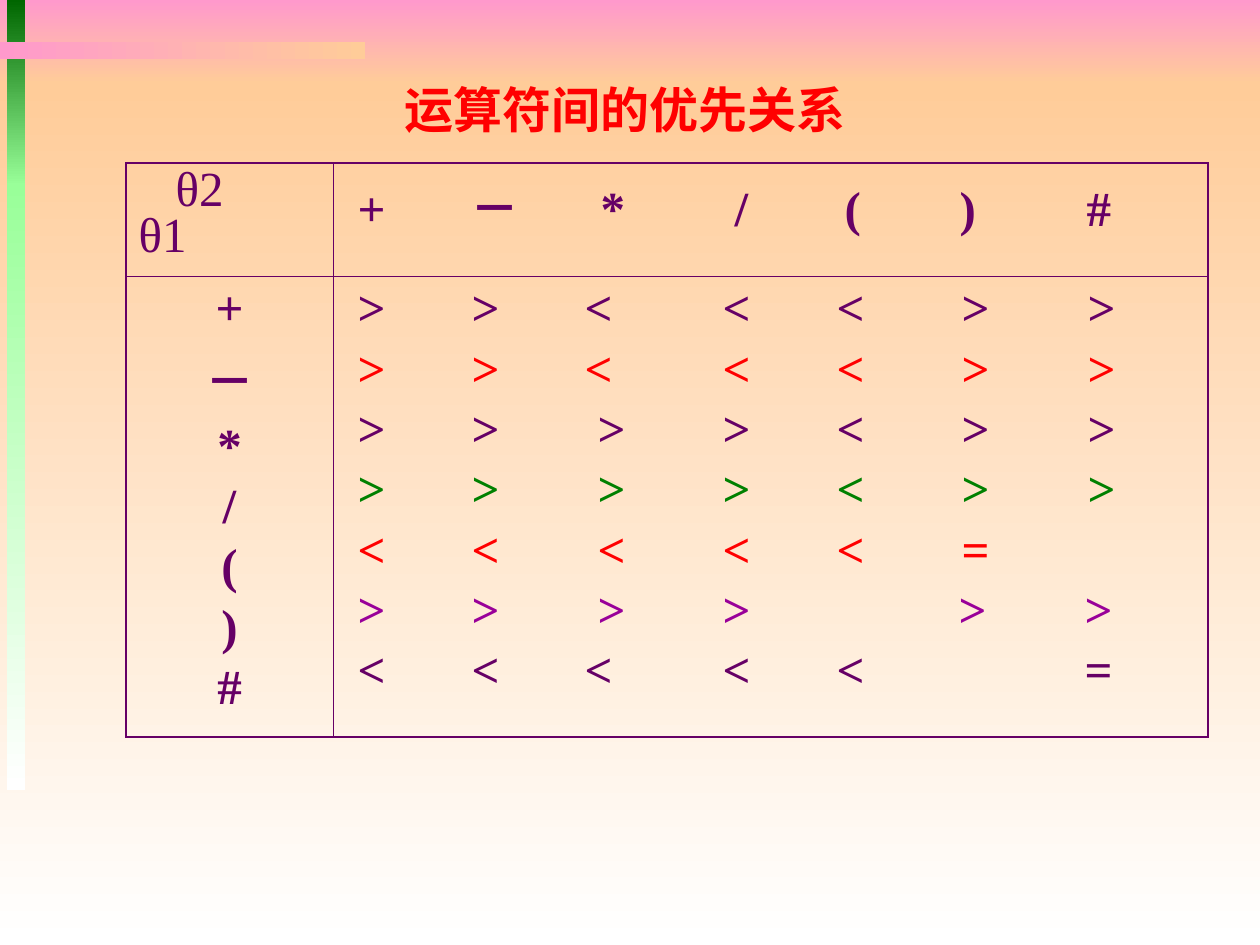
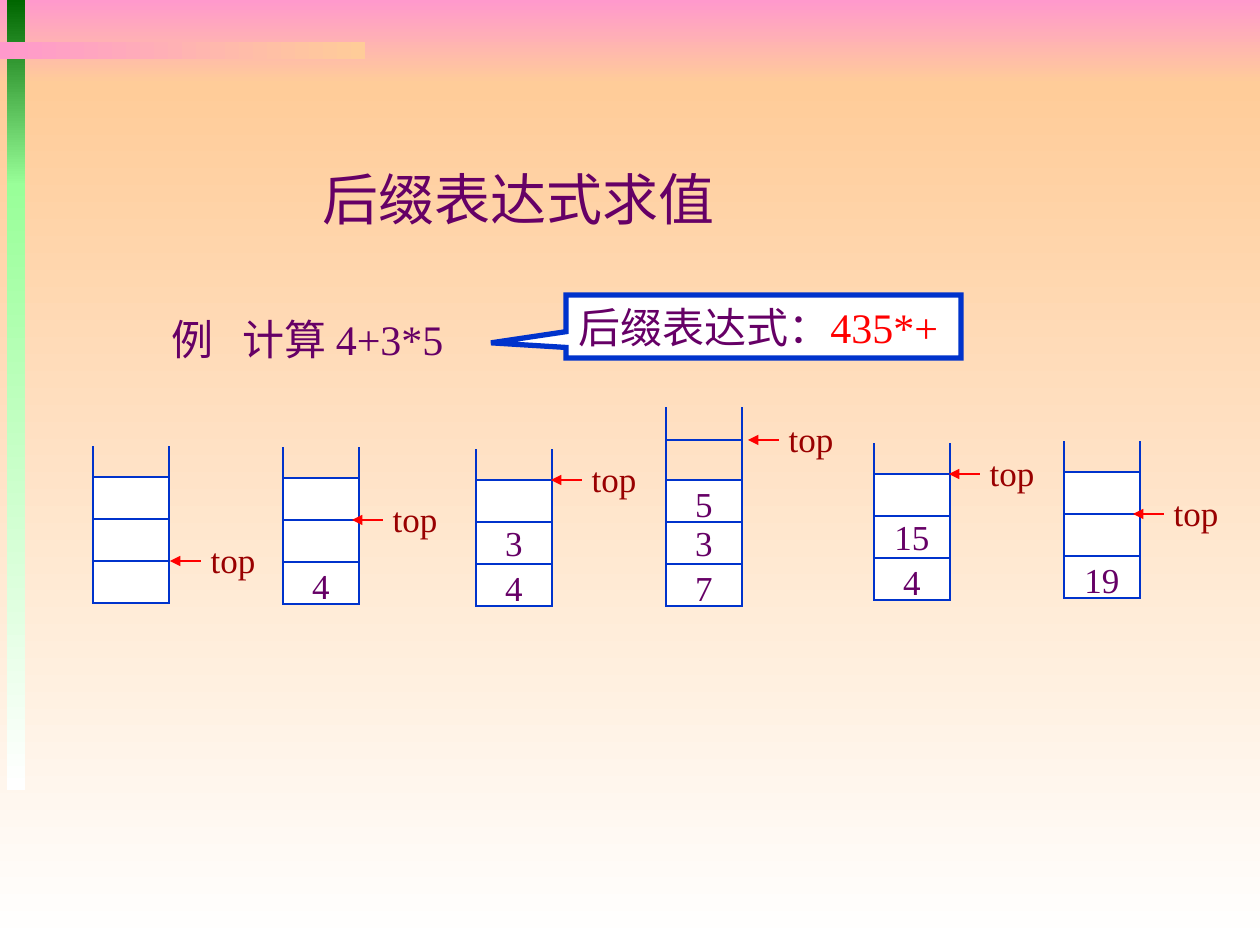
"""Build two slides: an operator precedence table and a postfix evaluation with stacks."""
import dataclasses

import lxml.etree
import pptx
import pptx.dml.color
import pptx.dml.fill
import pptx.enum.shapes
import pptx.enum.text
import pptx.oxml.ns
import pptx.shapes.autoshape
import pptx.slide
import pptx.table
import pptx.text.text
import pptx.util

EMU_PER_PX = 914400 / 126
PURPLE, RED, GREEN, VIOLET = "660066", "FF0000", "008000", "990099"
DARK_RED, BLUE, WHITE = "990000", "0033CC", "FFFFFF"
PINK, PEACH, DARK_GREEN, LIGHT_GREEN = "FF99CC", "FFCC99", "006600", "99FF99"

ALIGN = pptx.enum.text.PP_ALIGN
ANCHOR = pptx.enum.text.MSO_ANCHOR
SHAPE = pptx.enum.shapes.MSO_SHAPE

Box = tuple[int, int, int, int]
Point = tuple[int, int]


@dataclasses.dataclass(frozen=True)
class Style:
    size: int
    color: str = PURPLE
    bold: bool = False
    font: str = "Times New Roman"
    align: pptx.enum.text.PP_ALIGN = ALIGN.LEFT
    before: float = 0
    spacing: float = 1
    indent: int = 0
    tabs: tuple[int, ...] = ()


@dataclasses.dataclass(frozen=True)
class Band:
    box: Box
    start: str
    end: str
    angle: int = 270


@dataclasses.dataclass(frozen=True)
class Relation:
    marks: str
    color: str
    stops: tuple[int, ...]


@dataclasses.dataclass(frozen=True)
class Stack:
    left: int
    bottom: int
    values: tuple[str, ...]
    top_level: int
    arrow_tip: int
    wall: int = 157
    open_level: int = 0


BANDS = (
    Band((0, 0, 1260, 84), PINK, PEACH),
    Band((0, 84, 1260, 861), PEACH, WHITE),
    Band((7, 0, 18, 186), DARK_GREEN, LIGHT_GREEN),
    Band((7, 184, 18, 606), LIGHT_GREEN, WHITE),
    Band((0, 42, 365, 17), PINK, PEACH, 0),
)

HEADER_STOPS = (12, 125, 255, 389, 499, 614, 741)
EVEN_STOPS = (12, 126, 252, 377, 491, 616, 742)
SHIFTED_STOPS = (12, 126, 239, 377, 491, 616, 742)
OPERATORS = "+－*/()#"
RELATIONS = (
    Relation(">><<<>>", PURPLE, SHIFTED_STOPS),
    Relation(">><<<>>", RED, SHIFTED_STOPS),
    Relation(">>>><>>", PURPLE, EVEN_STOPS),
    Relation(">>>><>>", GREEN, EVEN_STOPS),
    Relation("<<<<<=", RED, EVEN_STOPS),
    Relation(">>>> >>", VIOLET, (12, 126, 252, 377, 491, 613, 739)),
    Relation("<<<<< =", PURPLE, (12, 126, 239, 377, 491, 613, 739)),
)

CELL_WIDTH, CELL_HEIGHT, CELL_COUNT = 76, 42, 3
LEVEL_RISES = (0, 42, 84, 126, 166)
VALUE_RISES = (18, 63, 102)
ARROW_LENGTH = 31
STACKS = (
    Stack(93, 603, (), 1, 170),
    Stack(283, 604, ("4",), 2, 352),
    Stack(476, 606, ("4", "3"), 3, 551),
    Stack(666, 606, ("7", "3", "5"), 4, 748, wall=199, open_level=4),
    Stack(874, 600, ("4", "15"), 3, 949),
    Stack(1064, 598, ("19",), 2, 1133),
)


def px(length: float) -> pptx.util.Emu:
    """Turn pixels into EMU."""
    return pptx.util.Emu(round(length * EMU_PER_PX))


def rgb(color: str) -> pptx.dml.color.RGBColor:
    """Turn a hex string into a colour."""
    return pptx.dml.color.RGBColor.from_string(color)


def add_element(parent: lxml.etree.ElementBase, tag: str, **attributes: str) -> lxml.etree.ElementBase:
    """Append a drawing element with attributes."""
    return lxml.etree.SubElement(parent, pptx.oxml.ns.qn(tag), attributes)


def write(paragraph: pptx.text.text._Paragraph, text: str, style: Style,
          accent: str = "", accent_color: str = RED) -> None:
    """Write one styled paragraph, with an optional accent run at its end."""
    paragraph.alignment = style.align
    paragraph.line_spacing = style.spacing
    paragraph.space_before = pptx.util.Pt(style.before)
    properties = paragraph._p.get_or_add_pPr()
    if style.indent:
        properties.set("marL", str(px(style.indent)))
    if style.tabs:
        tab_list = add_element(properties, "a:tabLst")
        for stop in style.tabs:
            add_element(tab_list, "a:tab", pos=str(px(stop)), algn="l")
    paragraph.font.size = pptx.util.Pt(style.size)
    paragraph.font.name = style.font
    paragraph.font.bold = style.bold
    main_run = paragraph.add_run()
    main_run.text = text
    if accent:
        accent_run = paragraph.add_run()
        accent_run.text = accent
        main_run.font.color.rgb = rgb(style.color)
        accent_run.font.color.rgb = rgb(accent_color)
    else:
        paragraph.font.color.rgb = rgb(style.color)


def add_text(slide: pptx.slide.Slide, box: Box, text: str, style: Style,
             anchor: pptx.enum.text.MSO_ANCHOR = ANCHOR.MIDDLE, wrap: bool = False) -> None:
    """Add a text box holding one paragraph."""
    frame = slide.shapes.add_textbox(*map(px, box)).text_frame
    frame.word_wrap = wrap
    frame.auto_size = pptx.enum.text.MSO_AUTO_SIZE.SHAPE_TO_FIT_TEXT
    frame.vertical_anchor = anchor
    write(frame.paragraphs[0], text, style)


def add_outlined(slide: pptx.slide.Slide, kind: pptx.enum.shapes.MSO_SHAPE, box: Box,
                 width: float) -> pptx.shapes.autoshape.Shape:
    """Add a white shape with a sharp-cornered blue outline."""
    shape = slide.shapes.add_shape(kind, *map(px, box))
    shape.shadow.inherit = False
    shape.fill.solid()
    shape.fill.fore_color.rgb = rgb(WHITE)
    shape.line.color.rgb = rgb(BLUE)
    shape.line.width = pptx.util.Pt(width)
    add_element(shape.line._get_or_add_ln(), "a:miter", lim="800000")
    return shape


def add_line(slide: pptx.slide.Slide, start: Point, end: Point, color: str = BLUE,
             width: float = 1.5, arrow: bool = False) -> None:
    """Add a straight line, with an arrowhead at its end if asked."""
    straight = pptx.enum.shapes.MSO_CONNECTOR.STRAIGHT
    connector = slide.shapes.add_connector(straight, *map(px, start + end))
    connector.line.color.rgb = rgb(color)
    connector.line.width = pptx.util.Pt(width)
    if arrow:
        add_element(connector.line._get_or_add_ln(), "a:tailEnd", type="triangle")
    add_element(connector._element.spPr, "a:effectLst")


def add_slide(presentation: pptx.presentation.Presentation) -> pptx.slide.Slide:
    """Add a blank slide with the shared gradient bands."""
    slide = presentation.slides.add_slide(presentation.slide_layouts[6])
    for band in BANDS:
        shape = slide.shapes.add_shape(SHAPE.RECTANGLE, *map(px, band.box))
        shape.shadow.inherit = False
        shape.line.fill.background()
        shape.fill.gradient()
        shape.fill.gradient_angle = band.angle
        for stop, color in zip(shape.fill.gradient_stops, (band.start, band.end)):
            stop.color.rgb = rgb(color)
    return slide


def format_cell(cell: pptx.table._Cell, row: int, column: int) -> None:
    """Clear the fill and draw thick outer and thin inner borders."""
    cell.fill.background()
    properties = cell._tc.get_or_add_tcPr()
    outer_edges = {"a:lnL": column == 0, "a:lnR": column == 1, "a:lnT": row == 0, "a:lnB": row == 1}
    for index, (tag, outer) in enumerate(outer_edges.items()):
        width = pptx.util.Pt(1.08 if outer else 0.45)
        border = add_element(properties, tag, w=str(width))
        add_element(add_element(border, "a:solidFill"), "a:srgbClr", val=PURPLE)
        properties.insert(index, border)


def fill_cell(cell: pptx.table._Cell, lines: list[tuple[str, Style]]) -> None:
    """Write one paragraph for each line of a cell."""
    frame = cell.text_frame
    for index, (text, style) in enumerate(lines):
        write(frame.add_paragraph() if index else frame.paragraphs[0], text, style)


def tabbed(marks: str) -> str:
    """Put each mark on its own tab stop, leaving blanks empty."""
    return "".join("\t" + mark.strip() for mark in marks)


def build_precedence_slide(presentation: pptx.presentation.Presentation) -> None:
    """Build the slide with the operator precedence table."""
    slide = add_slide(presentation)
    table = slide.shapes.add_table(2, 2, *map(px, (126, 163, 1082, 574))).table
    table.first_row = table.horz_banding = False
    for column, width in zip(table.columns, (207, 875)):
        column.width = px(width)
    for row, height in zip(table.rows, (113, 461)):
        row.height = px(height)
    corner = Style(28, spacing=0.85)
    mark = Style(28, bold=True, before=3.5)
    heading = dataclasses.replace(mark, before=7, tabs=HEADER_STOPS)
    centred = dataclasses.replace(mark, align=ALIGN.CENTER)
    contents = (
        ([("θ2", dataclasses.replace(corner, indent=37)), ("θ1", corner)],
         [(tabbed(OPERATORS), heading)]),
        ([(operator, centred) for operator in OPERATORS],
         [(tabbed(relation.marks),
           dataclasses.replace(mark, color=relation.color, tabs=relation.stops))
          for relation in RELATIONS]),
    )
    for row, cells in enumerate(contents):
        for column, lines in enumerate(cells):
            cell = table.cell(row, column)
            format_cell(cell, row, column)
            fill_cell(cell, lines)
    title = Style(28, RED, bold=True, align=ALIGN.CENTER, before=17.5)
    add_text(slide, (315, 73, 620, 72), "运算符间的优先关系", title, ANCHOR.TOP, wrap=True)


def draw_stack(slide: pptx.slide.Slide, stack: Stack) -> None:
    """Draw the walls, cells, values and top pointer of a stack."""
    right = stack.left + CELL_WIDTH
    for x in (stack.left, right):
        add_line(slide, (x, stack.bottom), (x, stack.bottom - stack.wall))
    for level in range(1, CELL_COUNT + 1):
        box = (stack.left, stack.bottom - level * CELL_HEIGHT, CELL_WIDTH, CELL_HEIGHT)
        add_outlined(slide, SHAPE.RECTANGLE, box, 1.5)
    if stack.open_level:
        y = stack.bottom - LEVEL_RISES[stack.open_level]
        add_line(slide, (stack.left, y), (right, y), width=0.75)
    label = Style(20, align=ALIGN.CENTER)
    for value, rise in zip(stack.values, VALUE_RISES):
        box = (stack.left + 8, stack.bottom - rise - 28, 60, 55)
        add_text(slide, box, value, label)
    y = stack.bottom - LEVEL_RISES[stack.top_level]
    add_line(slide, (stack.arrow_tip + ARROW_LENGTH, y), (stack.arrow_tip, y), RED, 0.75, arrow=True)
    add_text(slide, (stack.arrow_tip + 23, y - 29, 80, 55), "top",
             dataclasses.replace(label, color=DARK_RED))


def build_postfix_slide(presentation: pptx.presentation.Presentation) -> None:
    """Build the slide that evaluates a postfix expression."""
    slide = add_slide(presentation)
    for stack in STACKS:
        draw_stack(slide, stack)
    add_text(slide, (159, 307, 307, 63), "例\t计算 4+3*5", Style(24, tabs=(71,)), wrap=True)
    callout = add_outlined(slide, SHAPE.RECTANGULAR_CALLOUT, (566, 295, 395, 63), 3)
    callout.adjustments[0], callout.adjustments[1] = -0.69, 0.26
    frame = callout.text_frame
    frame.word_wrap = False
    frame.vertical_anchor = ANCHOR.MIDDLE
    write(frame.paragraphs[0], "后缀表达式：", Style(24), accent="435*+")
    title = Style(32, font="Arial", align=ALIGN.CENTER)
    add_text(slide, (299, 158, 440, 81), "后缀表达式求值", title, ANCHOR.TOP)


def main() -> None:
    """Build and save the presentation."""
    presentation = pptx.Presentation()
    presentation.slide_width, presentation.slide_height = px(1260), px(945)
    build_precedence_slide(presentation)
    build_postfix_slide(presentation)
    presentation.save("out.pptx")


if __name__ == "__main__":
    main()
